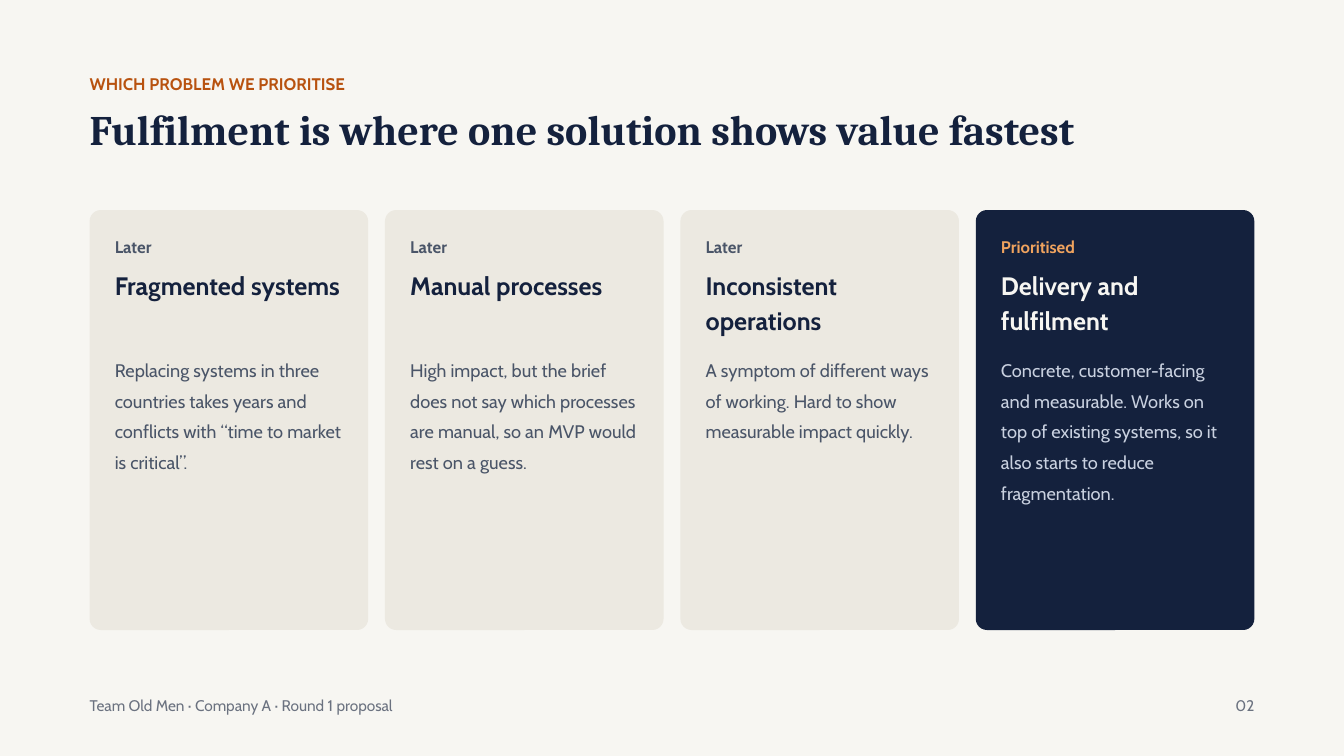
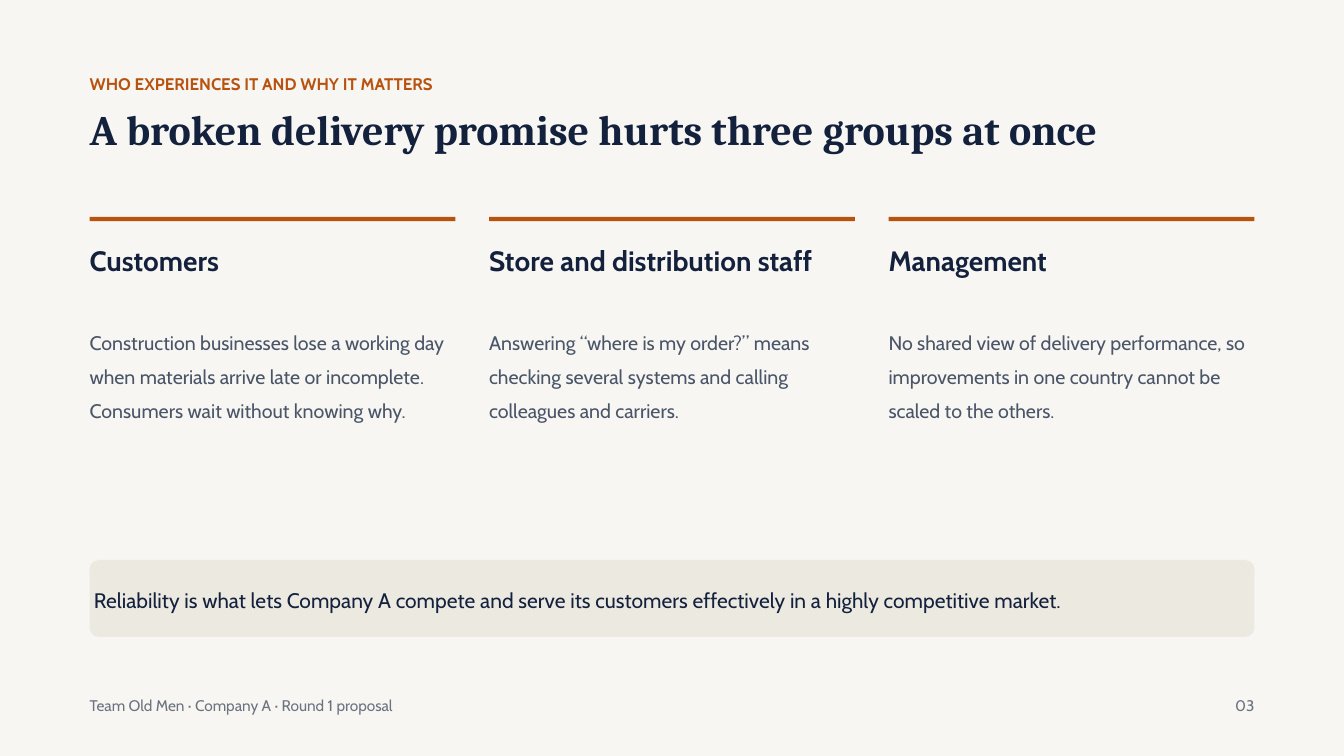
from dataclasses import dataclass
from typing import NamedTuple

import pptx
import pptx.dml.color
import pptx.enum.shapes
import pptx.enum.text
import pptx.util

ALIGN = pptx.enum.text.PP_ALIGN
ANCHOR = pptx.enum.text.MSO_ANCHOR
AUTO_SIZE = pptx.enum.text.MSO_AUTO_SIZE
SHAPE = pptx.enum.shapes.MSO_SHAPE

# The slide is a grid of 480 columns by 270 rows, 24 to the inch.
COLUMNS, ROWS = 480, 270
CELL = pptx.util.Inches(20) / COLUMNS
MARGIN = 32
CONTENT = COLUMNS - 2 * MARGIN


class TextStyle(NamedTuple):
    size: float
    leading: float
    bold: bool = False
    font: str = "Cabin"


@dataclass(frozen=True)
class Theme:
    paper: str = "F7F6F2"
    sand: str = "ECE9E1"
    navy: str = "14213D"
    rust: str = "B8520F"
    amber: str = "F0A35E"
    slate: str = "4A5568"
    mist: str = "C9D1E0"
    grey: str = "6B7280"
    eyebrow: TextStyle = TextStyle(18, 28.1, True)
    title: TextStyle = TextStyle(45, 56.7, True, "Cambria")
    card_heading: TextStyle = TextStyle(27, 37.3, True)
    card_body: TextStyle = TextStyle(19.5, 32.8)
    group_heading: TextStyle = TextStyle(30, 41.4, True)
    group_body: TextStyle = TextStyle(21, 36.5)
    takeaway: TextStyle = TextStyle(22.5, 35.1)
    footer: TextStyle = TextStyle(16.5, 25.7)


THEME = Theme()


class Area(NamedTuple):
    """A block of grid cells: first column, first row, columns, rows."""
    left: float
    top: float
    width: float
    height: float

    def emu(self) -> list[int]:
        return [round(cells * CELL) for cells in self]


class CardColours(NamedTuple):
    fill: str
    status: str
    heading: str
    body: str


LATER = CardColours(THEME.sand, THEME.slate, THEME.navy, THEME.slate)
PRIORITISED = CardColours(THEME.navy, THEME.amber, THEME.paper, THEME.mist)


@dataclass(frozen=True)
class ProblemCard:
    heading: str
    body: str
    status: str = "Later"
    colours: CardColours = LATER


@dataclass(frozen=True)
class AffectedGroup:
    heading: str
    body: str


PROBLEMS = [
    ProblemCard("Fragmented systems",
                "Replacing systems in three countries takes years and conflicts "
                "with “time to market is critical”."),
    ProblemCard("Manual processes",
                "High impact, but the brief does not say which processes are "
                "manual, so an MVP would rest on a guess."),
    ProblemCard("Inconsistent operations",
                "A symptom of different ways of working. Hard to show "
                "measurable impact quickly."),
    ProblemCard("Delivery and fulfilment",
                "Concrete, customer-facing and measurable. Works on top of "
                "existing systems, so it also starts to reduce fragmentation.",
                "Prioritised", PRIORITISED),
]

GROUPS = [
    AffectedGroup("Customers",
                  "Construction businesses lose a working day when materials "
                  "arrive late or incomplete. Consumers wait without knowing why."),
    AffectedGroup("Store and distribution staff",
                  "Answering “where is my order?” means checking several systems "
                  "and calling colleagues and carriers."),
    AffectedGroup("Management",
                  "No shared view of delivery performance, so improvements in one "
                  "country cannot be scaled to the others."),
]


def rgb(colour: str) -> pptx.dml.color.RGBColor:
    return pptx.dml.color.RGBColor.from_string(colour)


def apply(target, values: dict) -> None:
    for attribute, value in values.items():
        setattr(target, attribute, value)


def split_content(count: int, gutter: float) -> list[tuple[float, float]]:
    """Left and width of equal columns across the content area."""
    width = (CONTENT - gutter * (count - 1)) / count
    return [(MARGIN + i * (width + gutter), width) for i in range(count)]


def add_text(slide, area: Area, text: str, style: TextStyle, colour: str,
             align=None, inset: float = 0, **frame_format) -> None:
    frame = slide.shapes.add_textbox(*area.emu()).text_frame
    margins = {f"margin_{side}": round(inset * CELL)
               for side in ("left", "top", "right", "bottom")}
    apply(frame, {"word_wrap": True, "auto_size": AUTO_SIZE.SHAPE_TO_FIT_TEXT}
          | margins | frame_format)
    paragraph = frame.paragraphs[0]
    apply(paragraph, {"alignment": align,
                      "line_spacing": pptx.util.Pt(style.leading)})
    run = paragraph.add_run()
    run.text = text
    apply(run.font, {"name": style.font, "size": pptx.util.Pt(style.size),
                     "bold": style.bold})
    run.font.color.rgb = rgb(colour)


def add_panel(slide, area: Area, colour: str, radius: float = 0) -> None:
    kind = SHAPE.ROUNDED_RECTANGLE if radius else SHAPE.RECTANGLE
    panel = slide.shapes.add_shape(kind, *area.emu())
    if radius:
        panel.adjustments[0] = radius / min(area.width, area.height)
    panel.shadow.inherit = False
    panel.fill.solid()
    panel.fill.fore_color.rgb = rgb(colour)
    panel.line.fill.background()


def add_page(deck, number: int, eyebrow: str, title: str):
    """Add a slide with the shared background, heading and footer."""
    slide = deck.slides.add_slide(deck.slide_layouts[6])
    slide.background.fill.solid()
    slide.background.fill.fore_color.rgb = rgb(THEME.paper)
    add_text(slide, Area(MARGIN, 24.25, CONTENT, 10.8), eyebrow,
             THEME.eyebrow, THEME.rust)
    add_text(slide, Area(MARGIN, 36, CONTENT, 23.5), title,
             THEME.title, THEME.navy)
    add_text(slide, Area(MARGIN, 246.5, 375, 9.6),
             "Team Old Men · Company A · Round 1 proposal",
             THEME.footer, THEME.grey)
    add_text(slide, Area(MARGIN + CONTENT - 25, 246.5, 25, 9.6), f"{number:02}",
             THEME.footer, THEME.grey, ALIGN.RIGHT)
    return slide


def draw_card(slide, card: ProblemCard, left: float, width: float) -> None:
    top, padding = 75, 9
    colours = card.colours
    add_panel(slide, Area(left, top, width, 150), colours.fill, radius=4)
    for text, offset, height, style, colour in (
        (card.status, 7.3, 10.3, THEME.eyebrow, colours.status),
        (card.heading, 19.8, 26.2, THEME.card_heading, colours.heading),
        (card.body, 50.3, 92.2, THEME.card_body, colours.body),
    ):
        area = Area(left + padding, top + offset, width - 2 * padding, height)
        add_text(slide, area, text, style, colour)


def draw_group(slide, group: AffectedGroup, left: float, width: float) -> None:
    add_panel(slide, Area(left, 77.5, width, 1.5), THEME.rust)
    add_text(slide, Area(left, 85.2, width, 28.8), group.heading,
             THEME.group_heading, THEME.navy)
    add_text(slide, Area(left, 114.5, width, 73), group.body,
             THEME.group_body, THEME.slate)


def draw_takeaway(slide, text: str) -> None:
    add_panel(slide, Area(MARGIN, 200, CONTENT, 27.5), THEME.sand, radius=3.3)
    add_text(slide, Area(MARGIN, 198.5, CONTENT, 29), text, THEME.takeaway,
             THEME.navy, inset=1.5, vertical_anchor=ANCHOR.MIDDLE,
             auto_size=AUTO_SIZE.NONE)


def main() -> None:
    deck = pptx.Presentation()
    apply(deck, {"slide_width": round(COLUMNS * CELL),
                 "slide_height": round(ROWS * CELL)})

    priorities = add_page(deck, 2, "WHICH PROBLEM WE PRIORITISE",
                          "Fulfilment is where one solution shows value fastest")
    for card, column in zip(PROBLEMS, split_content(len(PROBLEMS), gutter=6)):
        draw_card(priorities, card, *column)

    impact = add_page(deck, 3, "WHO EXPERIENCES IT AND WHY IT MATTERS",
                      "A broken delivery promise hurts three groups at once")
    for group, column in zip(GROUPS, split_content(len(GROUPS), gutter=12)):
        draw_group(impact, group, *column)
    draw_takeaway(impact, "Reliability is what lets Company A compete and serve its "
                          "customers effectively in a highly competitive market.")

    deck.save("out.pptx")


if __name__ == "__main__":
    main()
